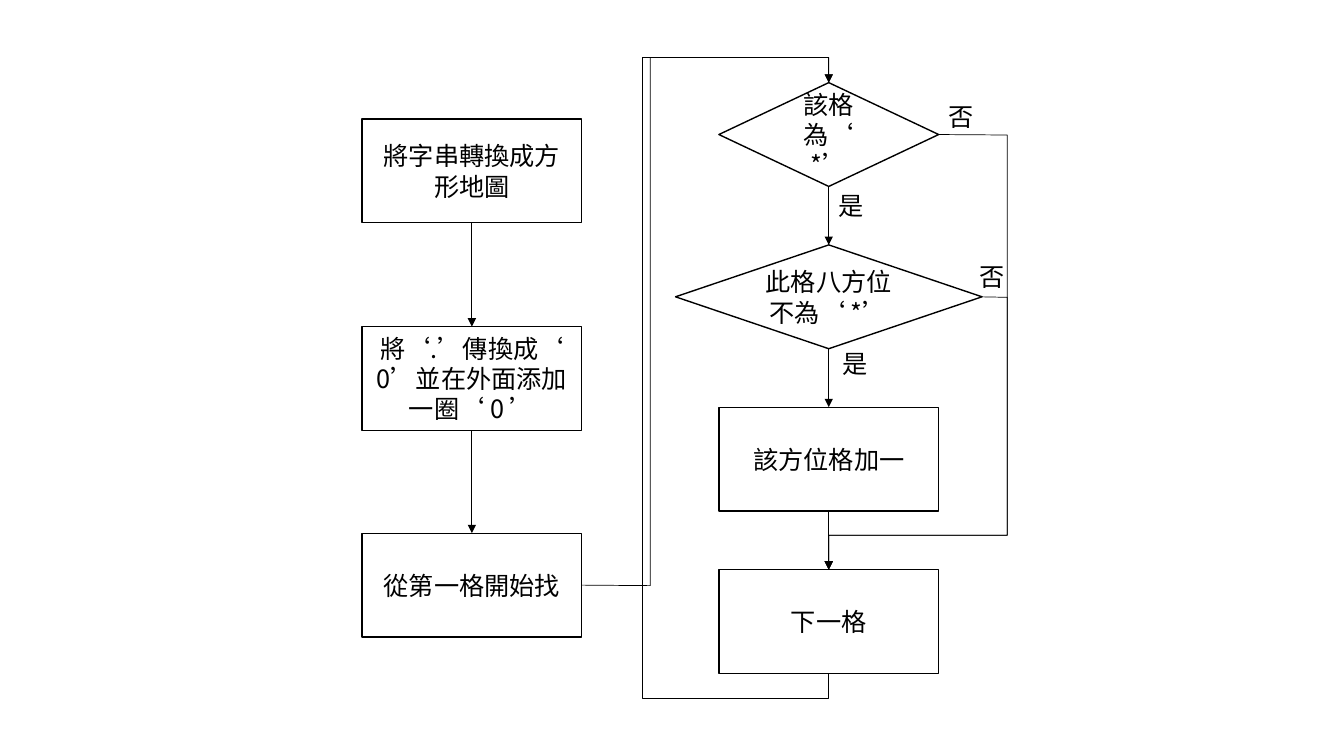
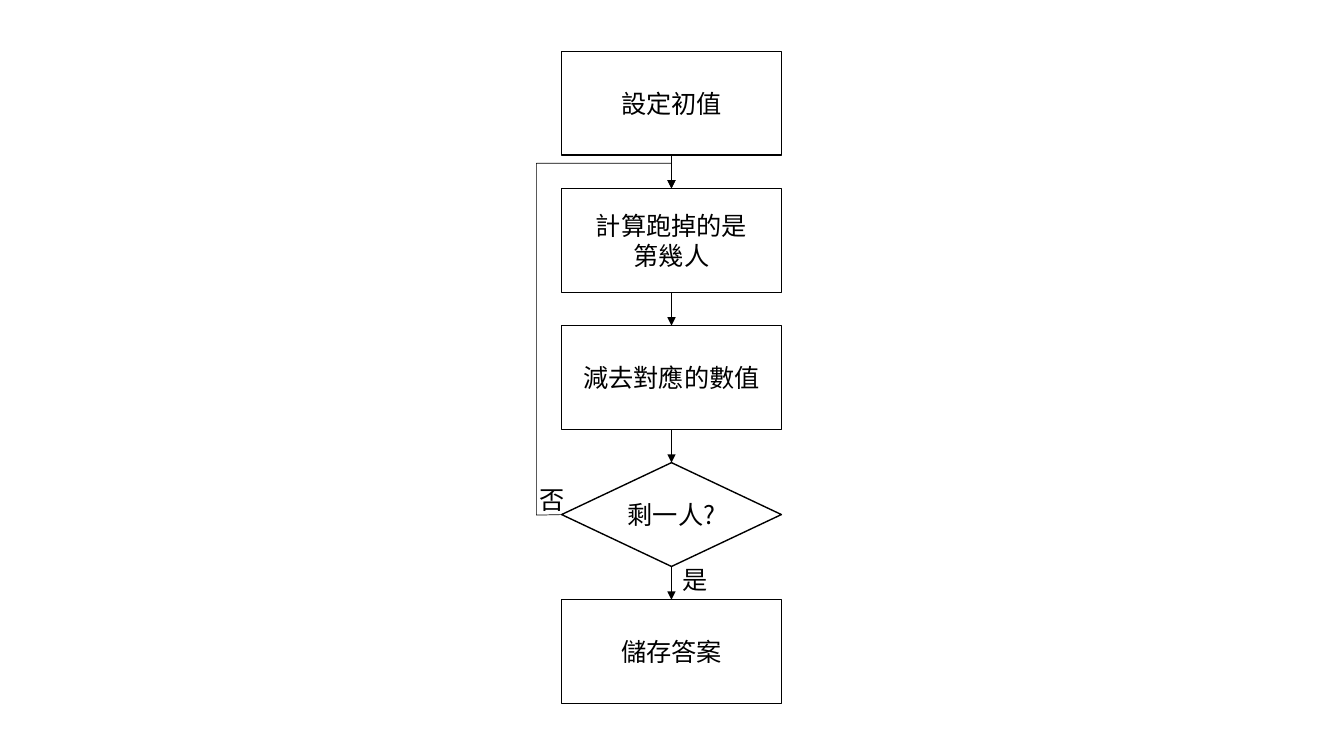
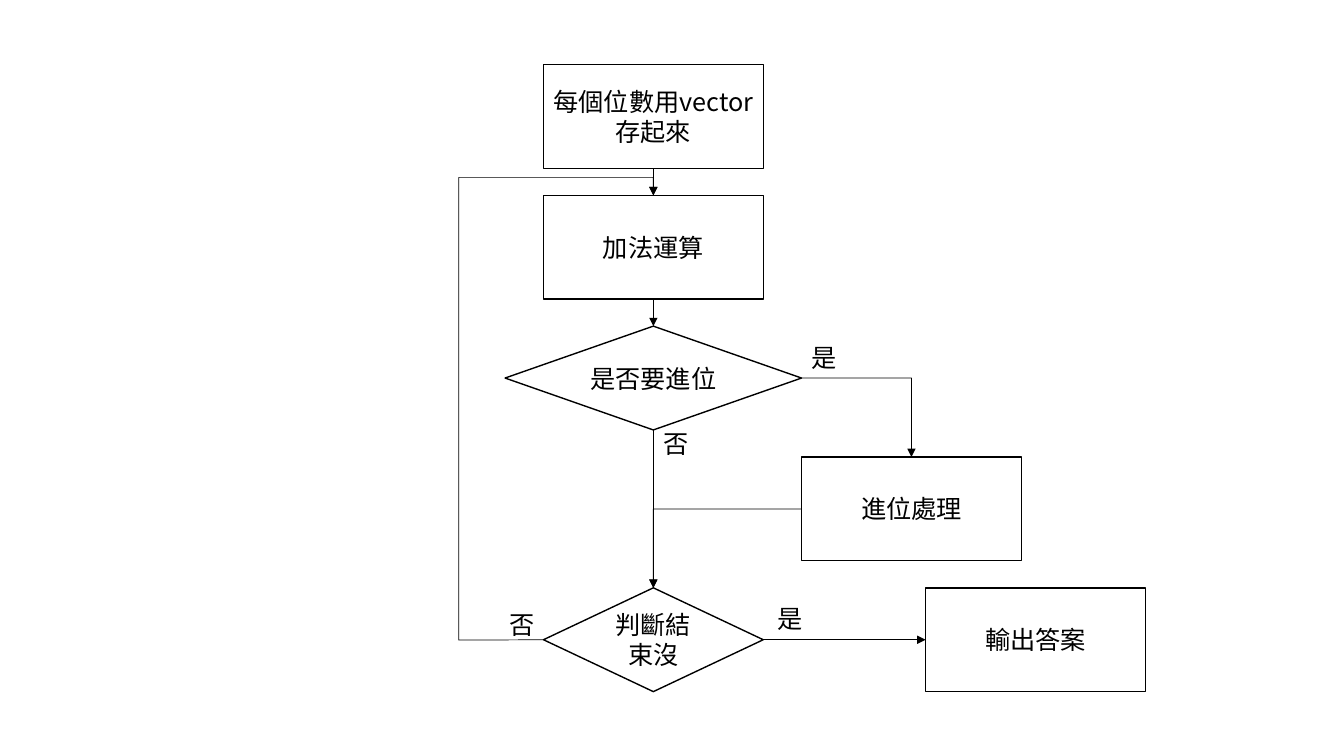
from dataclasses import dataclass

from lxml import etree
from pptx import Presentation
from pptx.dml.color import RGBColor
from pptx.enum import shapes, text
from pptx.oxml.ns import qn
from pptx.util import Inches, Pt


@dataclass(frozen=True)
class Theme:
    ink: RGBColor = RGBColor(0, 0, 0)
    paper: RGBColor = RGBColor(255, 255, 255)
    step_font: str = "Noto Sans CJK SC"
    label_font: str = "Calibri"
    east_asian_font: str = "Noto Sans CJK SC"
    size: Pt = Pt(18)
    outline: Pt = Pt(1)
    arrow: Pt = Pt(0.5)


THEME = Theme()
STEP_W, STEP_H = 2.18, 1.03
LABEL_W, LABEL_H = 0.88, 0.4
RECT = shapes.MSO_SHAPE.RECTANGLE
DECISION = shapes.MSO_SHAPE.FLOWCHART_DECISION
TOP, LEFT, BOTTOM, RIGHT = range(4)


def style_text(frame, font_name, align):
    frame.word_wrap = True
    for paragraph in frame.paragraphs:
        paragraph.alignment = align
        font = paragraph.font
        font.size = THEME.size
        font.color.rgb = THEME.ink
        font.name = font_name
        defaults = paragraph._p.pPr.find(qn("a:defRPr"))
        etree.SubElement(defaults, qn("a:ea"), typeface=THEME.east_asian_font)


def style_arrow(arrow):
    arrow.line.color.rgb = THEME.ink
    arrow.line.width = THEME.arrow
    properties = arrow.element.spPr
    etree.SubElement(properties.find(qn("a:ln")), qn("a:tailEnd"), type="triangle")
    etree.SubElement(properties, qn("a:effectLst"))


# steps: name -> (shape, centre x, top, width, text)
# labels: (text, left, top)
# arrows: (from, side, bends, to, side); without bends the arrow is straight
mine_map = {
    "steps": {
        "convert": (RECT, 4.68, 1.18, STEP_W, "將字串轉換成方形地圖"),
        "pad": (RECT, 4.68, 3.24, STEP_W, "將‘.’傳換成‘ 0’並在外面添加一圈‘ 0 ’"),
        "start": (RECT, 4.68, 5.29, STEP_W, "從第一格開始找"),
        "is_mine": (DECISION, 8.22, 0.82, STEP_W, "該格為‘ *’"),
        "neighbour": (DECISION, 8.22, 2.43, 3.04, "此格八方位不為‘ *’"),
        "add_one": (RECT, 8.22, 4.04, STEP_W, "該方位格加一"),
        "next": (RECT, 8.22, 5.65, STEP_W, "下一格"),
    },
    "labels": [("是", 8.22, 1.84), ("否", 9.31, 0.96),
               ("否", 9.62, 2.54), ("是", 8.26, 3.41)],
    "arrows": [
        ("is_mine", BOTTOM, [], "neighbour", TOP),
        ("neighbour", BOTTOM, [], "add_one", TOP),
        ("add_one", BOTTOM, [], "next", TOP),
        ("convert", BOTTOM, [], "pad", TOP),
        ("pad", BOTTOM, [], "start", TOP),
        ("start", RIGHT, [(6.45, 5.81), (6.45, 0.57), (8.22, 0.57)], "is_mine", TOP),
        ("is_mine", RIGHT, [(9.99, 1.34), (9.99, 5.31), (8.22, 5.31)], "next", TOP),
        ("neighbour", RIGHT, [(9.99, 2.95), (9.99, 5.31), (8.22, 5.31)], "next", TOP),
        ("next", BOTTOM, [(8.22, 6.93), (6.37, 6.93), (6.37, 0.57), (8.22, 0.57)],
         "is_mine", TOP),
    ],
}

last_person = {
    "steps": {
        name: (shape, 6.66, 0.51 + 1.36 * row, STEP_W, words)
        for row, (name, shape, words) in enumerate([
            ("init", RECT, "設定初值"),
            ("find", RECT, "計算跑掉的是\n第幾人"),
            ("subtract", RECT, "減去對應的數值"),
            ("one_left", DECISION, "剩一人?"),
            ("save", RECT, "儲存答案"),
        ])
    },
    "labels": [("否", 5.25, 4.76), ("是", 6.67, 5.55)],
    "arrows": [
        ("init", BOTTOM, [], "find", TOP),
        ("find", BOTTOM, [], "subtract", TOP),
        ("subtract", BOTTOM, [], "one_left", TOP),
        ("one_left", BOTTOM, [], "save", TOP),
        ("one_left", LEFT, [(5.32, 5.11), (5.32, 1.62), (6.66, 1.62)], "find", TOP),
    ],
}

big_sum = {
    "steps": {
        name: (shape, centre, 0.64 + 1.298 * row, width, words)
        for name, shape, centre, row, width, words in [
            ("store", RECT, 6.48, 0, STEP_W, "每個位數用vector存起來"),
            ("add", RECT, 6.48, 1, STEP_W, "加法運算"),
            ("carry", RECT, 9.04, 3, STEP_W, "進位處理"),
            ("finished", DECISION, 6.48, 4, STEP_W, "判斷結束沒"),
            ("needs_carry", DECISION, 6.48, 2, 2.94, "是否要進位"),
            ("output", RECT, 10.27, 4, STEP_W, "輸出答案"),
        ]
    },
    "labels": [("是", 7.95, 3.35), ("否", 6.48, 4.2),
               ("否", 4.95, 6), ("是", 7.61, 5.94)],
    "arrows": [
        ("store", BOTTOM, [], "add", TOP),
        ("add", BOTTOM, [], "needs_carry", TOP),
        ("needs_carry", RIGHT, [(9.04, 3.75)], "carry", TOP),
        ("needs_carry", BOTTOM, [], "finished", TOP),
        ("carry", LEFT, [(6.48, 5.05)], "finished", TOP),
        ("finished", LEFT, [(4.55, 6.35), (4.55, 1.76), (6.48, 1.76)], "add", TOP),
        ("finished", RIGHT, [], "output", LEFT),
    ],
}

deck = Presentation()
deck.slide_width, deck.slide_height = Inches(13.33), Inches(7.5)

for chart in (mine_map, last_person, big_sum):
    slide = deck.slides.add_slide(deck.slide_layouts[6])
    steps, ports = {}, {}

    for name, (shape, centre, top, width, words) in chart["steps"].items():
        left, middle = centre - width / 2, top + STEP_H / 2
        step = slide.shapes.add_shape(
            shape, Inches(left), Inches(top), Inches(width), Inches(STEP_H))
        step.shadow.inherit = False
        step.fill.solid()
        step.fill.fore_color.rgb = THEME.paper
        step.line.color.rgb = THEME.ink
        step.line.width = THEME.outline
        step.text_frame.text = words
        step.text_frame.vertical_anchor = text.MSO_ANCHOR.MIDDLE
        style_text(step.text_frame, THEME.step_font, text.PP_ALIGN.CENTER)
        steps[name] = step
        ports[name] = [(centre, top), (left, middle),
                       (centre, top + STEP_H), (left + width, middle)]

    for source, out_side, bends, target, in_side in chart["arrows"]:
        route = [(Inches(x), Inches(y)) for x, y in
                 [ports[source][out_side], *bends, ports[target][in_side]]]
        if bends:
            builder = slide.shapes.build_freeform(*route[0])
            builder.add_line_segments(route[1:], close=False)
            arrow = builder.convert_to_shape()
            arrow.fill.background()
        else:
            arrow = slide.shapes.add_connector(
                shapes.MSO_CONNECTOR.STRAIGHT, *route[0], *route[1])
            arrow.begin_connect(steps[source], out_side)
            arrow.end_connect(steps[target], in_side)
        style_arrow(arrow)

    for words, left, top in chart["labels"]:
        label = slide.shapes.add_textbox(
            Inches(left), Inches(top), Inches(LABEL_W), Inches(LABEL_H))
        label.text_frame.text = words
        label.text_frame.auto_size = text.MSO_AUTO_SIZE.SHAPE_TO_FIT_TEXT
        style_text(label.text_frame, THEME.label_font, text.PP_ALIGN.LEFT)

deck.save("out.pptx")
